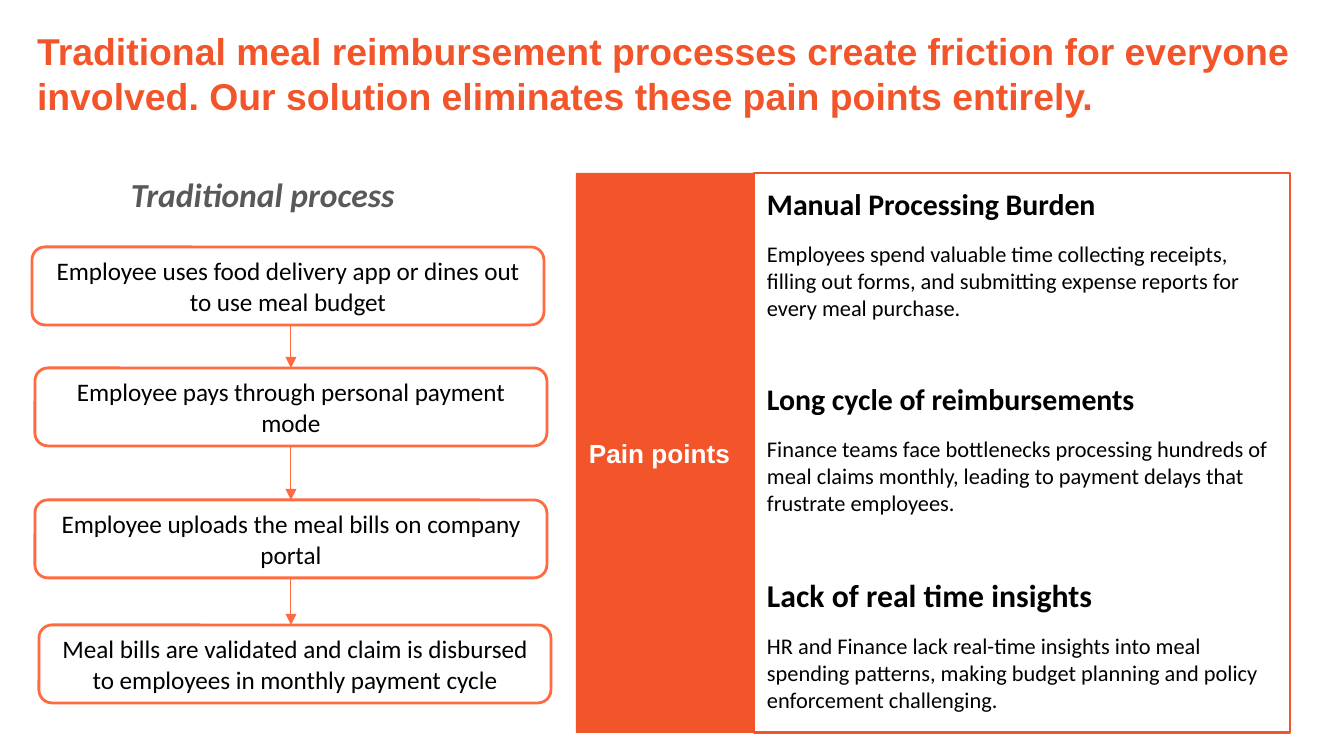
from itertools import pairwise

from lxml.etree import SubElement
from pptx import Presentation
from pptx.dml.color import RGBColor
from pptx.enum.shapes import MSO_CONNECTOR, MSO_SHAPE
from pptx.enum.text import MSO_ANCHOR as ANCHOR, MSO_AUTO_SIZE, PP_ALIGN as ALIGN
from pptx.oxml.ns import qn
from pptx.util import Emu, Pt

WIDTH, HEIGHT = 1344, 756
EMU_PER_PX = 9144000 / WIDTH

ORANGE = RGBColor(0xF3, 0x55, 0x2A)
CORAL = RGBColor(0xFF, 0x6B, 0x41)
GREY = RGBColor(0x59, 0x59, 0x59)
BLACK = RGBColor(0, 0, 0)
WHITE = RGBColor(0xFF, 0xFF, 0xFF)

TITLE_FONT = dict(name="Arial", size=Pt(20), bold=True, color=ORANGE)
CAPTION_FONT = dict(name="Calibri", size=Pt(18), bold=True, italic=True, color=GREY)
STEP_FONT = dict(name="Calibri", size=Pt(13.5), color=BLACK)
LABEL_FONT = dict(name="Arial", size=Pt(14), bold=True, color=WHITE)
HEADING_FONT = dict(name="Calibri", size=Pt(16), bold=True, color=BLACK)
LAST_HEADING_FONT = HEADING_FONT | dict(size=Pt(17))
BODY_FONT = dict(name="Calibri", size=Pt(12), bold=False, color=BLACK)

TITLE = (
    "Traditional meal reimbursement processes create friction for everyone "
    "involved. Our solution eliminates these pain points entirely."
)
# Each step: left and top within the process box, and its text
STEPS = [
    (0, 86, "Employee uses food delivery app or dines out to use meal budget"),
    (3, 207, "Employee pays through personal payment mode"),
    (3, 339, "Employee uploads the meal bills on company portal"),
    (7, 464, "Meal bills are validated and claim is disbursed to employees "
             "in monthly payment cycle"),
]
STEP_WIDTH, STEP_HEIGHT = 512, 78
ARROW_X = 259
PAIN_POINTS = [
    ("Manual Processing Burden", HEADING_FONT,
     "Employees spend valuable time collecting receipts, filling out forms, "
     "and submitting expense reports for every meal purchase."),
    ("Long cycle of reimbursements", HEADING_FONT,
     "Finance teams face bottlenecks processing hundreds of meal claims "
     "monthly, leading to payment delays that frustrate employees."),
    ("Lack of real time insights", LAST_HEADING_FONT,
     "HR and Finance lack real-time insights into meal spending patterns, "
     "making budget planning and policy enforcement challenging."),
]


def px(*lengths):
    return [Emu(round(length * EMU_PER_PX)) for length in lengths]


def write(paragraph, text, font_values, align=ALIGN.LEFT):
    paragraph.text = text
    paragraph.alignment = align
    for key, value in font_values.items():
        if key == "color":
            paragraph.font.color.rgb = value
        else:
            setattr(paragraph.font, key, value)


def set_frame(frame, anchor=ANCHOR.TOP, inset_x=13, inset_y=13):
    side, end = px(inset_x, inset_y)
    values = dict(
        word_wrap=True, auto_size=MSO_AUTO_SIZE.NONE, vertical_anchor=anchor,
        margin_left=side, margin_right=side, margin_top=end, margin_bottom=end,
    )
    for key, value in values.items():
        setattr(frame, key, value)


def add_box(shapes, kind, box, fill=None, line=None):
    shape = shapes.add_shape(kind, *px(*box))
    shape.shadow.inherit = False
    if fill is None:
        shape.fill.background()
    else:
        shape.fill.solid()
        shape.fill.fore_color.rgb = fill
    if line is None:
        shape.line.fill.background()
    else:
        shape.line.color.rgb = line
        shape.line.width = Pt(1.5)
    return shape


def add_arrow(shapes, x, start, end):
    """Draw an arrow down at x, joined to each step that is centred on x."""
    x, = px(x)
    arrow = shapes.add_connector(
        MSO_CONNECTOR.STRAIGHT, x, start.top + start.height, x, end.top)
    arrow.line.color.rgb = CORAL
    arrow.line.width = Pt(0.56)
    SubElement(arrow.line._get_or_add_ln(), qn("a:tailEnd"), type="triangle")
    SubElement(arrow._element.spPr, qn("a:effectLst"))
    for step, join, site in ((start, arrow.begin_connect, 2), (end, arrow.end_connect, 0)):
        if abs(step.left + step.width // 2 - x) <= 1:
            join(step, site)


def add_title(slide, box):
    title = slide.shapes.title
    title.left, title.top, title.width, title.height = px(*box)
    set_frame(title.text_frame)
    write(title.text_frame.paragraphs[0], TITLE, TITLE_FONT)


def add_process(slide, left, top):
    caption = slide.shapes.add_textbox(*px(left + 86, top, 349, 35))
    set_frame(caption.text_frame)
    write(caption.text_frame.paragraphs[0], "Traditional process", CAPTION_FONT)

    group = slide.shapes.add_group_shape()
    steps = []
    for x, y, text in STEPS:
        box = (left + x, top + y, STEP_WIDTH, STEP_HEIGHT)
        step = add_box(group.shapes, MSO_SHAPE.ROUNDED_RECTANGLE, box, line=CORAL)
        set_frame(step.text_frame, ANCHOR.MIDDLE, 11, 5)
        write(step.text_frame.paragraphs[0], text, STEP_FONT, ALIGN.CENTER)
        steps.append(step)
    for start, end in pairwise(steps):
        add_arrow(group.shapes, left + ARROW_X, start, end)


def add_pain_points(slide, left, top, width, height):
    label_width = 178
    panel = add_box(
        slide.shapes, MSO_SHAPE.RECTANGLE,
        (left + label_width, top, width - label_width, height), line=ORANGE)
    frame = panel.text_frame
    set_frame(frame)
    for index, (heading, heading_font, body) in enumerate(PAIN_POINTS):
        paragraph = frame.add_paragraph() if index else frame.paragraphs[0]
        write(paragraph, heading, heading_font)
        if index:
            paragraph.space_before = Pt(32)
        paragraph = frame.add_paragraph()
        write(paragraph, body, BODY_FONT)
        paragraph.space_before = Pt(10)

    label = add_box(
        slide.shapes, MSO_SHAPE.RECTANGLE, (left, top, label_width, height), fill=ORANGE)
    set_frame(label.text_frame, ANCHOR.MIDDLE)
    write(label.text_frame.paragraphs[0], "Pain points", LABEL_FONT)


def main():
    presentation = Presentation()
    presentation.slide_width, presentation.slide_height = px(WIDTH, HEIGHT)
    slide = presentation.slides.add_slide(presentation.slide_layouts[5])
    add_title(slide, (24, 15, 1296, 85))
    add_process(slide, 32, 161)
    add_pain_points(slide, 576, 173, 714, 560)
    presentation.save("out.pptx")


if __name__ == "__main__":
    main()
